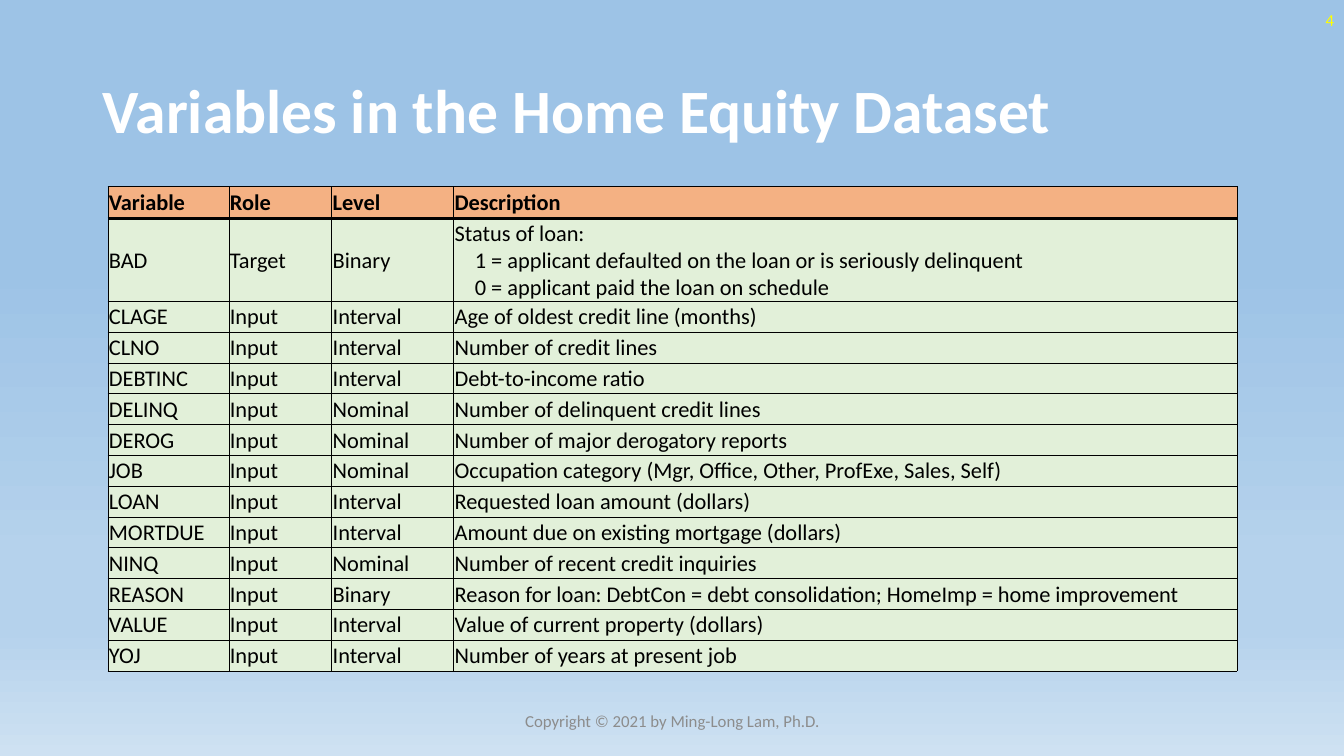
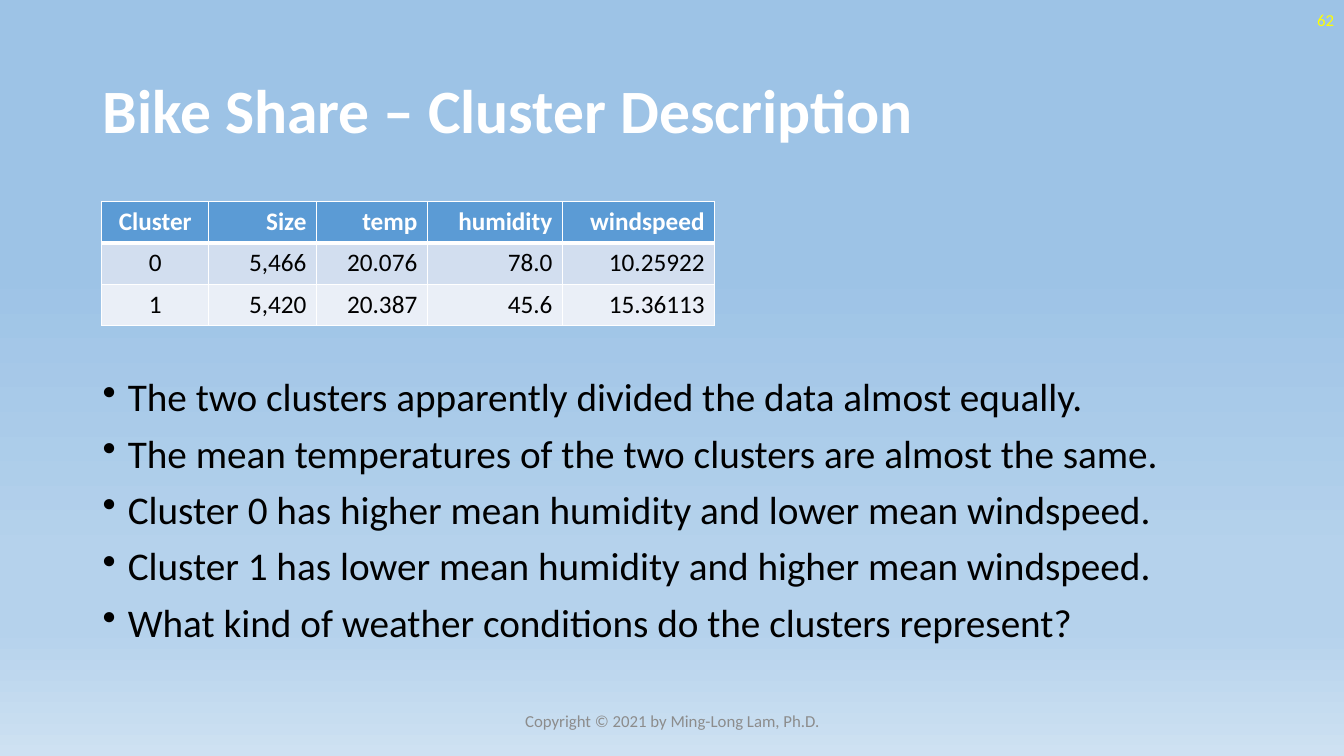
from dataclasses import dataclass
from typing import NamedTuple

from lxml.etree import SubElement
from pptx import Presentation
from pptx.dml.color import RGBColor
from pptx.enum.text import MSO_ANCHOR as Anchor, PP_ALIGN as Align
from pptx.oxml.ns import qn
from pptx.util import Inches, Pt


@dataclass(frozen=True)
class Theme:
    font: str = "Calibri"
    white: str = "FFFFFF"
    black: str = "000000"
    footer: str = "8C8C8C"
    number: str = "FFFF00"
    orange: str = "F4B183"
    green: str = "E2F0D9"
    blue: str = "5B9BD5"
    band_dark: str = "D2DEEF"
    band_light: str = "EAEFF7"
    backdrop: tuple = ((35, "9DC3E6"), (74, "B5D2EC"), (83, "B5D2EC"), (100, "CEE1F2"))
    title_size: int = 44
    body_size: int = 28
    data_size: int = 18
    dense_size: int = 16
    small_size: int = 12


THEME = Theme()
COPYRIGHT = "Copyright © 2021 by Ming-Long Lam, Ph.D."


class Area(NamedTuple):
    left: float
    top: float
    width: float
    height: float

    def lengths(self) -> list:
        return [Inches(value) for value in self]


TITLE_AREA = Area(0.92, 0.4, 11.5, 1.45)
BODY_AREA = Area(0.92, 3.7, 11.5, 3.06)
FOOTER_AREA = Area(4.42, 6.95, 4.5, 0.4)
NUMBER_AREA = Area(10.33, 0, 3, 0.4)


@dataclass(frozen=True)
class TableStyle:
    size: int
    header_fill: str
    header_color: str
    bands: tuple
    line_color: str
    line_width: float
    header_line: float
    aligns: tuple
    anchor: Anchor = Anchor.TOP
    insets: tuple = (0.1, 0.05, 0.1, 0.05)
    later_indent: float = 0


VARIABLE_STYLE = TableStyle(
    size=THEME.dense_size, header_fill=THEME.orange, header_color=THEME.black,
    bands=(THEME.green,), line_color=THEME.black, line_width=0.5, header_line=2,
    aligns=(Align.LEFT,) * 4, anchor=Anchor.MIDDLE,
    insets=(0.01, 0.01, 0.01, 0), later_indent=0.2,
)
CLUSTER_STYLE = TableStyle(
    size=THEME.data_size, header_fill=THEME.blue, header_color=THEME.white,
    bands=(THEME.band_dark, THEME.band_light), line_color=THEME.white,
    line_width=1, header_line=3, aligns=(Align.CENTER,) + (Align.RIGHT,) * 4,
)

VARIABLES = (
    ("Variable", "Role", "Level", "Description"),
    ("BAD", "Target", "Binary",
     "Status of loan:\n"
     "1 = applicant defaulted on the loan or is seriously delinquent\n"
     "0 = applicant paid the loan on schedule"),
    ("CLAGE", "Input", "Interval", "Age of oldest credit line (months)"),
    ("CLNO", "Input", "Interval", "Number of credit lines"),
    ("DEBTINC", "Input", "Interval", "Debt-to-income ratio"),
    ("DELINQ", "Input", "Nominal", "Number of delinquent credit lines"),
    ("DEROG", "Input", "Nominal", "Number of major derogatory reports"),
    ("JOB", "Input", "Nominal",
     "Occupation category (Mgr, Office, Other, ProfExe, Sales, Self)"),
    ("LOAN", "Input", "Interval", "Requested loan amount (dollars)"),
    ("MORTDUE", "Input", "Interval", "Amount due on existing mortgage (dollars)"),
    ("NINQ", "Input", "Nominal", "Number of recent credit inquiries"),
    ("REASON", "Input", "Binary",
     "Reason for loan: DebtCon = debt consolidation; HomeImp = home improvement"),
    ("VALUE", "Input", "Interval", "Value of current property (dollars)"),
    ("YOJ", "Input", "Interval", "Number of years at present job"),
)
CLUSTERS = (
    ("Cluster", "Size", "temp", "humidity", "windspeed"),
    ("0", "5,466", "20.076", "78.0", "10.25922"),
    ("1", "5,420", "20.387", "45.6", "15.36113"),
)
FINDINGS = "\n".join((
    "The two clusters apparently divided the data almost equally.",
    "The mean temperatures of the two clusters are almost the same.",
    "Cluster 0 has higher mean humidity and lower mean windspeed.",
    "Cluster 1 has lower mean humidity and higher mean windspeed.",
    "What kind of weather conditions do the clusters represent?",
))


def write(frame, text: str, *, size: int, color: str, bold: bool = False,
          align: Align = Align.LEFT, spacing: float = 1, before: float = 0,
          bullet: str = "", hanging: float = 0, later_indent: float = 0) -> None:
    for index, line in enumerate(text.split("\n")):
        para = frame.add_paragraph() if index else frame.paragraphs[0]
        properties = para._p.get_or_add_pPr()
        margin = hanging + (later_indent if index else 0)
        if margin:
            properties.set("marL", str(Inches(margin)))
            properties.set("indent", str(-Inches(hanging)))
        if bullet:
            SubElement(properties, qn("a:buChar"), char=bullet)
        para.alignment = align
        para.line_spacing = spacing
        if index:
            para.space_before = Pt(before)
        span = para.add_run()
        span.text = line
        span.font.name = THEME.font
        span.font.size = Pt(size)
        span.font.bold = bold
        span.font.color.rgb = RGBColor.from_string(color)


def add_text(page, area: Area, text: str, *, anchor: Anchor = Anchor.MIDDLE,
             **text_format) -> None:
    frame = page.shapes.add_textbox(*area.lengths()).text_frame
    frame.word_wrap = True
    frame.vertical_anchor = anchor
    write(frame, text, **text_format)


def set_border(cell, side: str, color: str, width: float) -> None:
    line = SubElement(cell._tc.get_or_add_tcPr(), qn(f"a:ln{side}"), w=str(Pt(width)))
    fill = SubElement(line, qn("a:solidFill"))
    SubElement(fill, qn("a:srgbClr"), val=color)


def add_table(page, left: float, top: float, widths: tuple, heights: tuple,
              rows: tuple, style: TableStyle) -> None:
    area = Area(left, top, sum(widths), sum(heights))
    table = page.shapes.add_table(len(rows), len(widths), *area.lengths()).table
    for column, width in zip(table.columns, widths):
        column.width = Inches(width)
    for row, height in zip(table.rows, heights):
        row.height = Inches(height)
    for row_index, values in enumerate(rows):
        header = row_index == 0
        fill = style.header_fill if header else style.bands[(row_index - 1) % len(style.bands)]
        heavy_side = {0: "B", 1: "T"}.get(row_index)
        for column_index, value in enumerate(values):
            cell = table.cell(row_index, column_index)
            for side in "LRTB":
                width = style.header_line if side == heavy_side else style.line_width
                set_border(cell, side, style.line_color, width)
            cell.fill.solid()
            cell.fill.fore_color.rgb = RGBColor.from_string(fill)
            cell.vertical_anchor = style.anchor
            (cell.margin_left, cell.margin_top,
             cell.margin_right, cell.margin_bottom) = map(Inches, style.insets)
            write(cell.text_frame, value, size=style.size, bold=header,
                  color=style.header_color if header else THEME.black,
                  align=style.aligns[column_index], later_indent=style.later_indent)


def set_backdrop(deck) -> None:
    master = deck.slide_master
    fill = master.background.fill
    fill.gradient()
    fill.gradient_angle = 270
    stops = master.element.find(".//" + qn("a:gsLst"))
    for stop in list(stops):
        stops.remove(stop)
    for percent, color in THEME.backdrop:
        stop = SubElement(stops, qn("a:gs"), pos=str(percent * 1000))
        SubElement(stop, qn("a:srgbClr"), val=color)


def add_page(deck, title: str, number: int):
    page = deck.slides.add_slide(deck.slide_layouts[6])
    add_text(page, TITLE_AREA, title, size=THEME.title_size, color=THEME.white,
             bold=True, spacing=0.9)
    add_text(page, FOOTER_AREA, COPYRIGHT, size=THEME.small_size,
             color=THEME.footer, align=Align.CENTER)
    add_text(page, NUMBER_AREA, str(number), size=THEME.small_size,
             color=THEME.number, align=Align.RIGHT)
    return page


def add_variables_page(deck) -> None:
    page = add_page(deck, "Variables in the Home Equity Dataset", 4)
    header, target, total = 0.32, 0.82, 4.81
    inputs = len(VARIABLES) - 2
    heights = (header, target) + ((total - header - target) / inputs,) * inputs
    add_table(page, 1.07, 1.85, (1.2, 1.02, 1.21, 7.77), heights,
              VARIABLES, VARIABLE_STYLE)


def add_clusters_page(deck) -> None:
    page = add_page(deck, "Bike Share – Cluster Description", 62)
    add_text(page, BODY_AREA, FINDINGS, anchor=Anchor.TOP, size=THEME.body_size,
             color=THEME.black, spacing=0.9, before=10, bullet="•", hanging=0.25)
    add_table(page, 1.01, 2, (1.06, 1.07, 1.1, 1.34, 1.51),
              (0.41,) * len(CLUSTERS), CLUSTERS, CLUSTER_STYLE)


def main() -> None:
    deck = Presentation()
    deck.slide_width = Inches(13.33)
    deck.slide_height = Inches(7.5)
    set_backdrop(deck)
    add_variables_page(deck)
    add_clusters_page(deck)
    deck.save("out.pptx")


if __name__ == "__main__":
    main()
